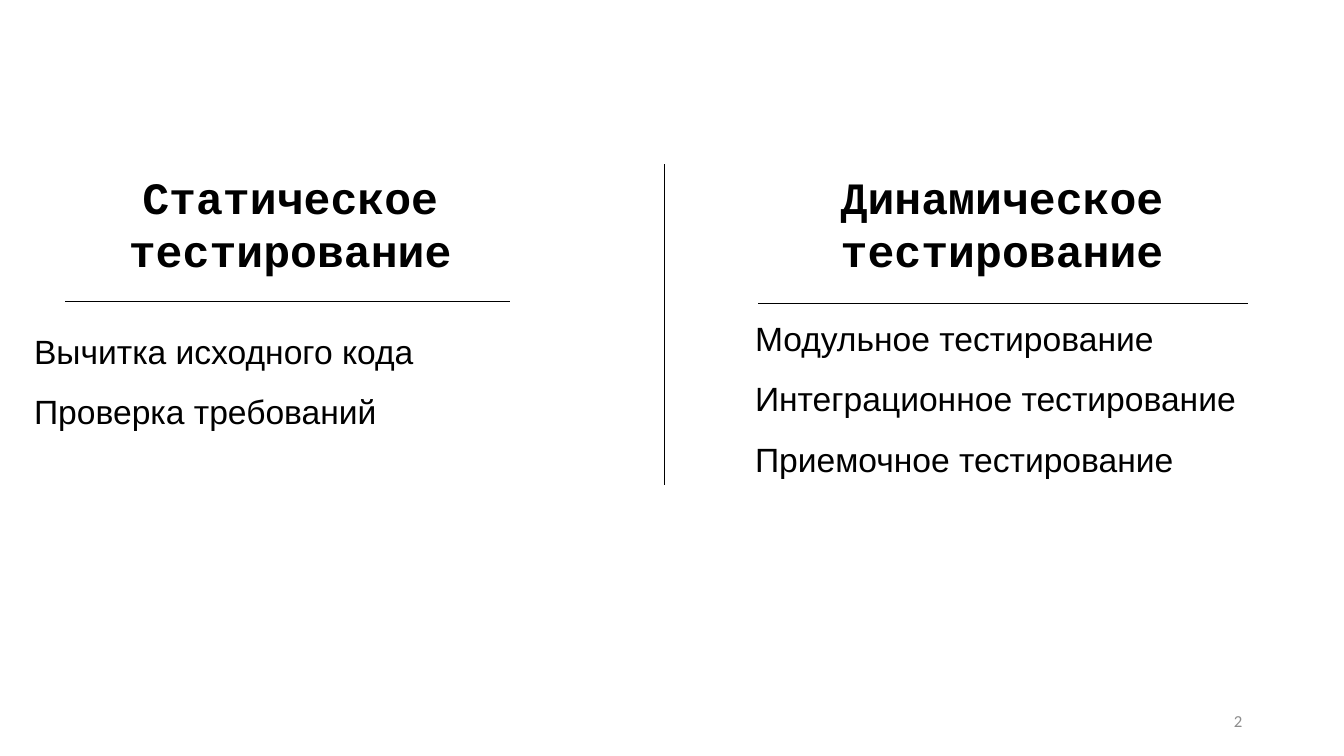
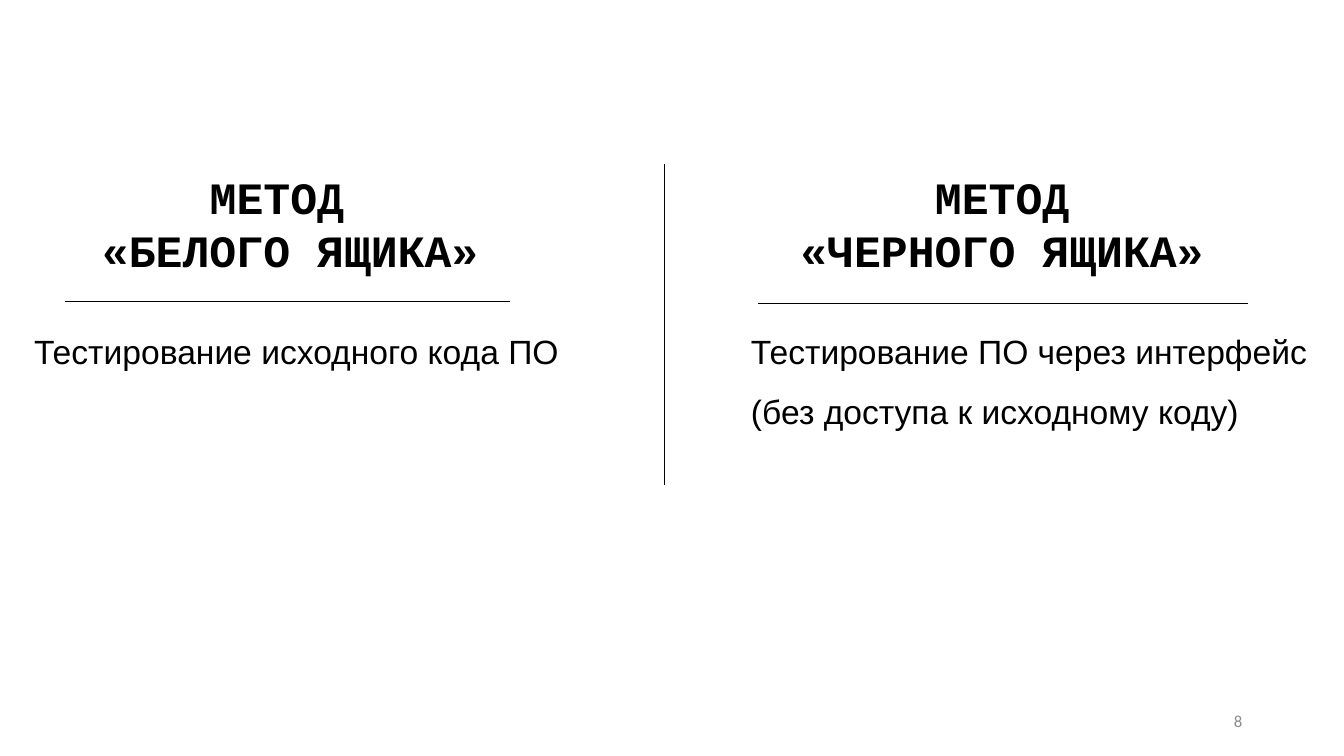
import dataclasses

import pptx
import pptx.dml.color
import pptx.enum.shapes
import pptx.enum.text
import pptx.oxml
import pptx.oxml.ns
import pptx.util

Inches = pptx.util.Inches
Align = pptx.enum.text.PP_ALIGN
Anchor = pptx.enum.text.MSO_ANCHOR
AutoSize = pptx.enum.text.MSO_AUTO_SIZE

BLACK = pptx.dml.color.RGBColor(0x00, 0x00, 0x00)
GRAY = pptx.dml.color.RGBColor(0x8C, 0x8C, 0x8C)

HEADING_FONT = {"name": "Courier New", "size": pptx.util.Pt(32), "bold": True}
BODY_FONT = {"name": "Arial", "size": pptx.util.Pt(24)}
NUMBER_FONT = {"name": "Calibri", "size": pptx.util.Pt(12)}

SLIDE_WIDTH, SLIDE_HEIGHT = 13.33, 7.5
COMPARISON_TOP, COMPARISON_HEIGHT = 1.63, 3.18
DIVIDER_X = 6.59
HEADING_WIDTH, HEADING_HEIGHT = 4.25, 1.18
BODY_DROP, BODY_HEIGHT = 1.4, 1.72
NUMBER_BOX = (9.42, 6.95, 3, 0.4)


@dataclasses.dataclass
class Column:
    """Horizontal layout of one side; rule values are relative to left."""
    left: float
    width: float
    center: float
    rule_offset: float
    rule_width: float
    rule_drop: float


@dataclasses.dataclass
class Topic:
    """Content of one side; shift moves the body from its usual place."""
    heading: list
    points: list
    shift: tuple = (0, 0)
    first_spacing: float = 1.5


LEFT = Column(0.24, 5.56, 2.64, 0.41, 4.41, 1.36)
RIGHT = Column(7.35, 5.79, 2.59, 0.17, 4.86, 1.38)

SLIDES = [
    (2,
     Topic(["Статическое", "тестирование"],
           ["Вычитка исходного кода", "Проверка требований"]),
     Topic(["Динамическое", "тестирование"],
           ["Модульное тестирование", "Интеграционное тестирование",
            "Приемочное тестирование"],
           shift=(0.04, 0.07), first_spacing=1.0)),
    (8,
     Topic(["МЕТОД ", "«БЕЛОГО ЯЩИКА»"],
           ["Тестирование исходного кода ПО"]),
     Topic(["МЕТОД", "«ЧЕРНОГО ЯЩИКА»"],
           ["Тестирование ПО через интерфейс (без доступа к исходному коду)"])),
]


def set_all(target, values):
    for name, value in values.items():
        setattr(target, name, value)


def add_text(slide, box, lines, font, color=BLACK, frame_format=None,
             paragraph_format=None):
    frame = slide.shapes.add_textbox(*map(Inches, box)).text_frame
    set_all(frame, {"word_wrap": True, **(frame_format or {})})
    for index, line in enumerate(lines):
        paragraph = frame.add_paragraph() if index else frame.paragraphs[0]
        set_all(paragraph, paragraph_format or {})
        run = paragraph.add_run()
        run.text = line
        set_all(run.font, font)
        run.font.color.rgb = color
    return frame


def add_rule(slide, start, end):
    rule = slide.shapes.add_connector(
        pptx.enum.shapes.MSO_CONNECTOR.STRAIGHT, *map(Inches, start + end))
    rule.line.color.rgb = BLACK
    rule.line.width = pptx.util.Pt(0.5)
    rule._element.spPr.append(
        pptx.oxml.parse_xml(f"<a:effectLst {pptx.oxml.ns.nsdecls('a')}/>"))


def add_topic(slide, column, top, topic):
    heading_left = column.left + column.center - HEADING_WIDTH / 2
    add_text(slide, (heading_left, top, HEADING_WIDTH, HEADING_HEIGHT),
             topic.heading, HEADING_FONT,
             frame_format={"word_wrap": False,
                           "auto_size": AutoSize.SHAPE_TO_FIT_TEXT},
             paragraph_format={"alignment": Align.CENTER})

    rule_left = column.left + column.rule_offset
    rule_y = top + column.rule_drop
    add_rule(slide, (rule_left, rule_y), (rule_left + column.rule_width, rule_y))

    shift_x, shift_y = topic.shift
    body = add_text(slide, (column.left + shift_x, top + BODY_DROP + shift_y,
                            column.width, BODY_HEIGHT),
                    topic.points, BODY_FONT,
                    frame_format={"auto_size": AutoSize.SHAPE_TO_FIT_TEXT},
                    paragraph_format={"line_spacing": 1.5})
    body.paragraphs[0].line_spacing = topic.first_spacing


def add_page_number(slide, number):
    add_text(slide, NUMBER_BOX, [str(number)], NUMBER_FONT, GRAY,
             frame_format={"vertical_anchor": Anchor.MIDDLE},
             paragraph_format={"alignment": Align.RIGHT})


def add_comparison_slide(deck, number, left_topic, right_topic):
    slide = deck.slides.add_slide(deck.slide_layouts[6])
    for column, topic in ((LEFT, left_topic), (RIGHT, right_topic)):
        add_topic(slide, column, COMPARISON_TOP, topic)
    add_rule(slide, (DIVIDER_X, COMPARISON_TOP),
             (DIVIDER_X, COMPARISON_TOP + COMPARISON_HEIGHT))
    add_page_number(slide, number)


def main():
    deck = pptx.Presentation()
    deck.slide_width = Inches(SLIDE_WIDTH)
    deck.slide_height = Inches(SLIDE_HEIGHT)
    for number, left_topic, right_topic in SLIDES:
        add_comparison_slide(deck, number, left_topic, right_topic)
    deck.save("out.pptx")


if __name__ == "__main__":
    main()
